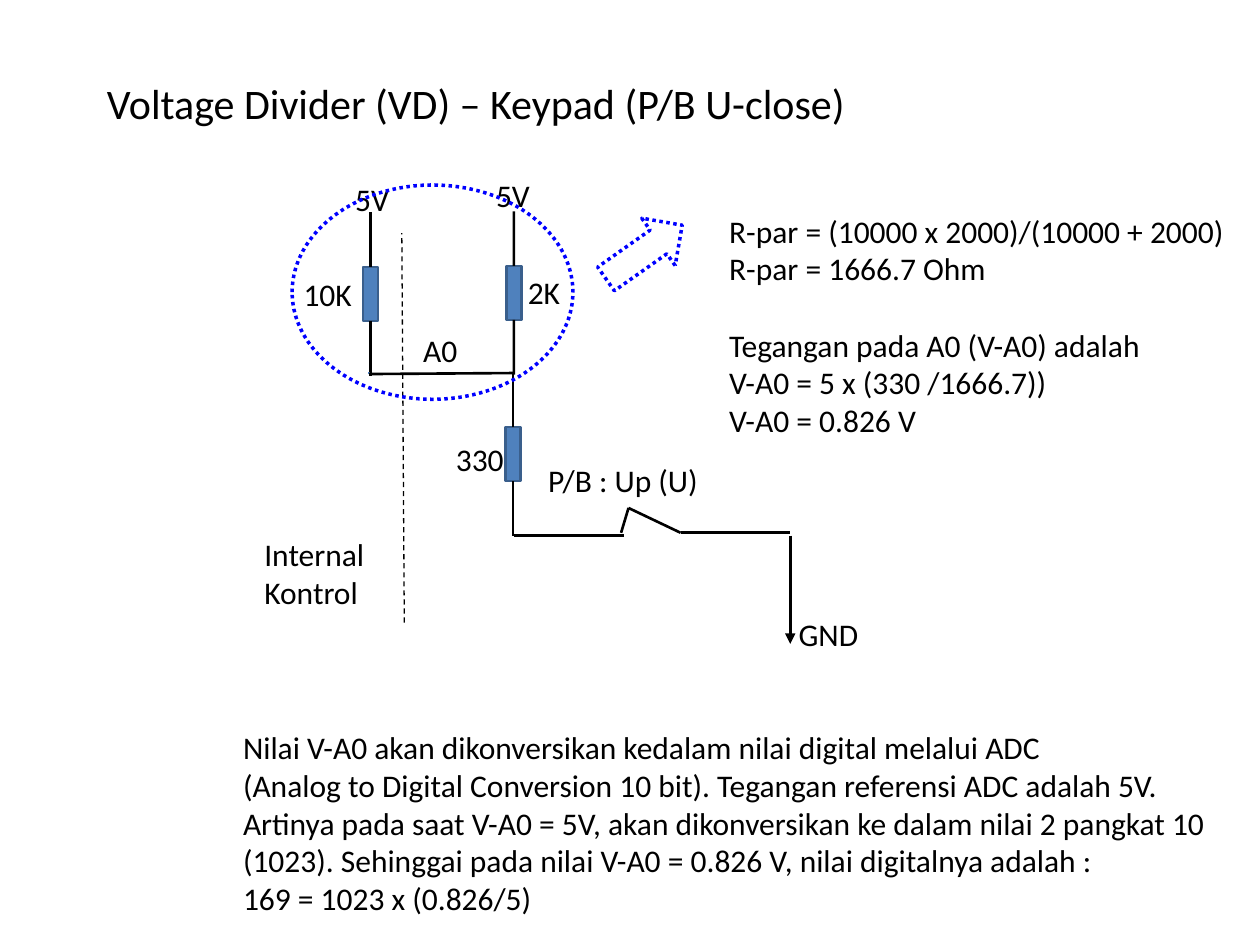
from dataclasses import dataclass

from lxml.etree import SubElement
from pptx import Presentation
from pptx.dml.color import RGBColor
from pptx.enum.dml import MSO_LINE_DASH_STYLE as Dash
from pptx.enum.shapes import MSO_CONNECTOR as Link, MSO_SHAPE as Form
from pptx.enum.text import MSO_ANCHOR as Anchor, MSO_AUTO_SIZE as Fit, PP_ALIGN as Align
from pptx.oxml.ns import qn
from pptx.util import Cm, Pt


@dataclass(frozen=True)
class Theme:
    """Colours, font and sizes of the slide."""
    font: str = "Calibri"
    ink: RGBColor = RGBColor(0x00, 0x00, 0x00)
    body: RGBColor = RGBColor(0x4F, 0x81, 0xBD)
    edge: RGBColor = RGBColor(0x3A, 0x5F, 0x8C)
    stub: RGBColor = RGBColor(0x4B, 0x7E, 0xBC)
    mark: RGBColor = RGBColor(0x00, 0x00, 0xFF)
    title_size: Pt = Pt(24)
    text_size: Pt = Pt(18)
    blank_line: Pt = Pt(22)
    wire: Pt = Pt(1.5)
    thin: Pt = Pt(0.75)
    dotted: Pt = Pt(2)


THEME = Theme()


def add_span(para, text, size):
    """Add one formatted run to a paragraph."""
    span = para.add_run()
    span.text = text
    span.font.name, span.font.size = THEME.font, size
    span.font.color.rgb = THEME.ink


def add_text(page, box, lines, gap_before=None):
    """Write one paragraph per line, with a gap before the given line."""
    frame = page.shapes.add_textbox(*map(Cm, box)).text_frame
    frame.word_wrap, frame.auto_size = False, Fit.SHAPE_TO_FIT_TEXT
    for index, line in enumerate(lines):
        para = frame.paragraphs[0] if index == 0 else frame.add_paragraph()
        if index == gap_before:
            para.space_before = THEME.blank_line
        add_span(para, line, THEME.text_size)


def add_wire(shapes, start, end, color=THEME.ink, width=THEME.wire, dash=None, arrow=False):
    """Draw a straight wire between two points."""
    wire = shapes.add_connector(Link.STRAIGHT, *map(Cm, (*start, *end)))
    wire.line.color.rgb, wire.line.width = color, width
    if dash:
        wire.line.dash_style = dash
    if arrow:
        SubElement(wire.line._ln, qn("a:tailEnd"), type="triangle")
    SubElement(wire._element.spPr, qn("a:effectLst"))
    return wire


def add_resistor(page, center, top):
    """Draw a resistor with a lead joined to each end, as one group."""
    width, height, lead = 0.3, 1.09, 1.1
    shapes = page.shapes.add_group_shape().shapes
    body = shapes.add_shape(Form.RECTANGLE, *map(Cm, (center - width / 2, top, width, height)))
    body.shadow.inherit = False
    body.fill.solid()
    body.fill.fore_color.rgb = THEME.body
    body.line.color.rgb, body.line.width = THEME.edge, THEME.wire
    for side, start, end in ((0, top, top - lead), (2, top + height, top + height + lead)):
        add_wire(shapes, (center, start), (center, end)).begin_connect(body, side)


def add_outline(page, form, box, rotation=0):
    """Draw an unfilled dotted shape."""
    shape = page.shapes.add_shape(form, *map(Cm, box))
    shape.shadow.inherit = False
    shape.fill.background()
    shape.line.color.rgb, shape.line.width = THEME.mark, THEME.dotted
    shape.line.dash_style = Dash.ROUND_DOT
    shape.rotation = rotation


def add_title(page, box, text):
    """Fill the title placeholder and remove the unused subtitle."""
    title = page.shapes.title
    title.left, title.top, title.width, title.height = map(Cm, box)
    title.text_frame.vertical_anchor = Anchor.MIDDLE
    para = title.text_frame.paragraphs[0]
    para.alignment = Align.LEFT
    add_span(para, text, THEME.title_size)
    subtitle = page.placeholders[1]._element
    subtitle.getparent().remove(subtitle)


def add_circuit(page, left, top):
    """Draw the divider, the push button, the labels and the marks."""
    def at(x, y):
        return left + x, top + y

    for center, y in ((5.28, 1.93), (2.39, 1.95), (5.26, 5.18)):
        add_resistor(page, *at(center, y))

    shapes = page.shapes
    add_wire(shapes, at(2.36, 4.11), at(2.36, 4.06), THEME.stub, THEME.thin)
    add_wire(shapes, at(2.36, 4.11), at(5.26, 4.09))
    add_wire(shapes, at(5.28, 7.37), at(7.49, 7.37))
    switch = [(7.44, 7.31), (7.59, 6.81), (8.64, 7.31), (10.85, 7.31)]
    for start, end in zip(switch, switch[1:]):
        add_wire(shapes, at(*start), at(*end))
    add_wire(shapes, at(10.85, 7.37), at(10.85, 9.55), arrow=True)
    add_wire(shapes, at(3.07, 9.12), at(3.02, 1.27), width=THEME.thin, dash=Dash.DASH)

    labels = (
        (4.67, 0, 1.19, ["5V"]),
        (1.83, 0.08, 1.19, ["5V"]),
        (3.2, 3.12, 1.22, ["A0"]),
        (5.31, 1.95, 1.17, ["2K"]),
        (0.79, 1.98, 1.5, ["10K"]),
        (3.86, 5.31, 1.5, ["330"]),
        (5.72, 5.74, 3.58, ["P/B : Up (U)"]),
        (10.77, 8.84, 1.73, ["GND"]),
        (0, 7.24, 2.59, ["Internal", "Kontrol"]),
    )
    for x, y, width, lines in labels:
        add_text(page, (*at(x, y), width, 1.02 if len(lines) == 1 else 1.8), lines)

    add_outline(page, Form.OVAL, (*at(0.81, 0.3), 5.66, 4.32))
    add_outline(page, Form.DOWN_ARROW, (*at(7.32, 0.71), 1.17, 1.88), 234.8)


def main():
    """Build and save the slide."""
    deck = Presentation()
    deck.slide_width, deck.slide_height = Cm(25.4), Cm(19.05)
    page = deck.slides.add_slide(deck.slide_layouts[0])
    add_title(page, (1.9, 0.74, 21.59, 2.67), "Voltage Divider (VD) – Keypad (P/B U-close)")
    add_circuit(page, 5.08, 3.43)
    add_text(page, (14.45, 4.14, 10.62, 4.88), [
        "R-par = (10000 x 2000)/(10000 + 2000)",
        "R-par = 1666.7 Ohm",
        "Tegangan pada A0 (V-A0) adalah",
        "V-A0 = 5 x (330 /1666.7))",
        "V-A0 = 0.826 V",
    ], gap_before=2)
    add_text(page, (4.65, 14.55, 20.29, 4.11), [
        "Nilai V-A0 akan dikonversikan kedalam nilai digital melalui ADC",
        "(Analog to Digital Conversion 10 bit). Tegangan referensi ADC adalah 5V.",
        "Artinya pada saat V-A0 = 5V, akan dikonversikan ke dalam nilai 2 pangkat 10",
        "(1023). Sehinggai pada nilai V-A0 = 0.826 V, nilai digitalnya adalah :",
        "169 = 1023 x (0.826/5)",
    ])
    deck.save("out.pptx")


if __name__ == "__main__":
    main()
